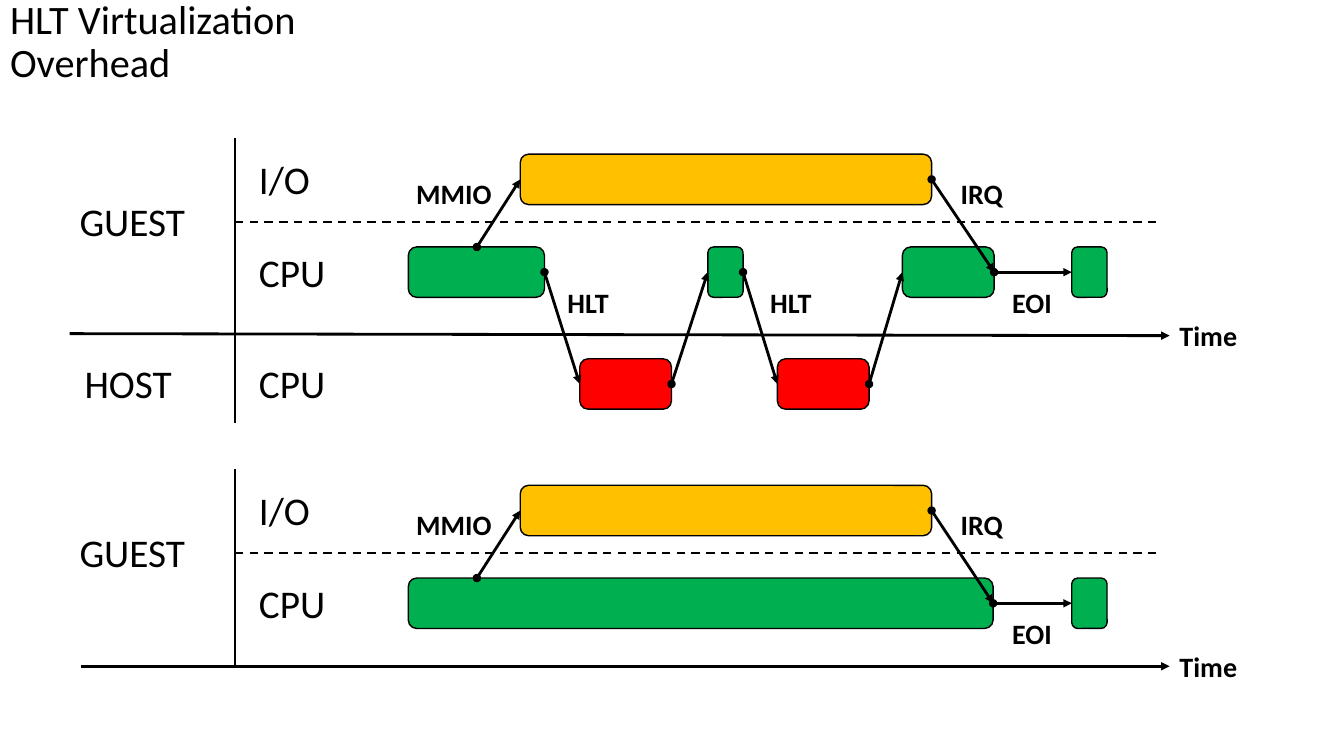
from lxml import etree
from pptx import Presentation
from pptx.dml.color import RGBColor
from pptx.enum.dml import MSO_LINE
from pptx.enum.shapes import MSO_CONNECTOR, MSO_SHAPE
from pptx.enum.text import MSO_ANCHOR, MSO_AUTO_SIZE, PP_ALIGN
from pptx.oxml.ns import qn
from pptx.util import Inches, Pt

BLACK = RGBColor(0x00, 0x00, 0x00)
GREEN = RGBColor(0x00, 0xB0, 0x50)
AMBER = RGBColor(0xFF, 0xC0, 0x00)
RED = RGBColor(0xFF, 0x00, 0x00)
STRAIGHT = MSO_CONNECTOR.STRAIGHT
ROUNDED = MSO_SHAPE.ROUNDED_RECTANGLE
DASH = MSO_LINE.DASH
MIDDLE = MSO_ANCHOR.MIDDLE
NO_FIT, GROW = MSO_AUTO_SIZE.NONE, MSO_AUTO_SIZE.SHAPE_TO_FIT_TEXT
LEFT = PP_ALIGN.LEFT
LEFT_SIDE, RIGHT_SIDE = 1, 3
COLUMN = ROW = Inches(0.1)
TITLE_ONLY = 5

LANE_FONT = {"size": Pt(28), "bold": False}
EVENT_FONT = {"size": Pt(20), "bold": True}
TITLE_FONT = {"size": Pt(28.8), "bold": False}

BAR_HEIGHT = 5
IO_ROW, CPU_ROW, HOST_ROW = 1.6, 10.8, 21.9
SEPARATOR_ROW = 8.3
DIVIDER_COLUMN = 23.3
AXIS_END = 116


def apply(target, values):
    for attribute, value in values.items():
        setattr(target, attribute, value)


class Timeline:
    def __init__(self, slide, font_name="Calibri"):
        self.slide = slide
        self.font_name = font_name
        self.top = 0

    def place(self, column, row):
        return round(column * COLUMN), round((self.top + row) * ROW)

    def fill_text(self, frame, text, font, **frame_format):
        apply(frame, {"word_wrap": True, **frame_format})
        paragraph = frame.paragraphs[0]
        paragraph.alignment = LEFT
        run = paragraph.add_run()
        run.text = text
        apply(run.font, {"name": self.font_name, **font})
        run.font.color.rgb = BLACK
        return paragraph

    def title(self, text, width, height):
        heading = self.slide.shapes.title
        apply(heading, {"left": 0, "top": 0, "width": round(width * COLUMN), "height": round(height * ROW)})
        paragraph = self.fill_text(heading.text_frame, text, TITLE_FONT, vertical_anchor=MIDDLE, auto_size=NO_FIT)
        paragraph.line_spacing = 0.9

    def label(self, text, column, row, width, font):
        height = 5.7 if font is LANE_FONT else 4.4
        box = self.slide.shapes.add_textbox(
            *self.place(column, row), round(width * COLUMN), round(height * ROW))
        self.fill_text(box.text_frame, text, font, auto_size=GROW)

    def bar(self, column, row, width, color):
        block = self.slide.shapes.add_shape(
            ROUNDED, *self.place(column, row), round(width * COLUMN), BAR_HEIGHT * ROW)
        block.shadow.inherit = False
        block.fill.solid()
        block.fill.fore_color.rgb = color
        block.line.color.rgb = BLACK
        block.line.width = Pt(1)
        return block

    def line(self, start, end, weight=1.5, dash=None, **ends):
        stroke = self.slide.shapes.add_connector(STRAIGHT, *self.place(*start), *self.place(*end))
        apply(stroke.line, {"width": Pt(weight), "dash_style": dash})
        stroke.line.color.rgb = BLACK
        properties = stroke._element.spPr
        outline = properties.find(qn("a:ln"))
        for tag, kind in ends.items():
            etree.SubElement(outline, qn("a:" + tag), type=kind)
        etree.SubElement(properties, qn("a:effectLst"))
        return stroke

    def arrow(self, start, end):
        return self.line(start, end, 2, headEnd="oval", tailEnd="triangle")

    def switch(self, source, target, target_side=LEFT_SIDE):
        transition = self.arrow((0, 0), (0, 0))
        transition.begin_connect(source, RIGHT_SIDE)
        transition.end_connect(target, target_side)

    def axis(self, start, start_row, end_row):
        self.line((start, start_row), (AXIS_END, end_row), 2, tailEnd="triangle")
        self.label("Time", AXIS_END, end_row - 2.2, 9.3, EVENT_FONT)

    def guest(self, top, divider_length, bursts):
        self.top = top
        self.line((DIVIDER_COLUMN, 0), (DIVIDER_COLUMN, divider_length))
        self.line((DIVIDER_COLUMN, SEPARATOR_ROW), (115.1, SEPARATOR_ROW), dash=DASH)
        self.label("GUEST", 6.9, 5.4, 16.1, LANE_FONT)
        for lane, row in (("I/O", IO_ROW), ("CPU", CPU_ROW)):
            self.label(lane, 24.7, row - 0.4, 10.9, LANE_FONT)

        io_work = self.bar(51.6, IO_ROW, 40.8, AMBER)
        cpu_work = [self.bar(column, CPU_ROW, width, GREEN) for column, width in bursts]
        completion = self.bar(106.3, CPU_ROW, 3.5, GREEN)

        request = self.arrow((47.3, CPU_ROW), (51.6, IO_ROW))
        request.end_connect(io_work, LEFT_SIDE)
        self.switch(io_work, cpu_work[-1], RIGHT_SIDE)
        self.switch(cpu_work[-1], completion)
        for event, column, row, width in (
                ("MMIO", 40.3, 3.3, 10.3), ("IRQ", 94.3, 3.3, 7.1), ("EOI", 99.4, 14.1, 7.1)):
            self.label(event, column, row, width, EVENT_FONT)
        return cpu_work

    def host(self, cpu_work, halts):
        self.label("HOST", 7.4, HOST_ROW - 0.4, 14.9, LANE_FONT)
        self.label("CPU", 24.7, HOST_ROW - 0.4, 10.9, LANE_FONT)
        for before, after, (column, label_column) in zip(cpu_work, cpu_work[1:], halts):
            halt = self.bar(column, HOST_ROW, 9.1, RED)
            self.switch(before, halt)
            self.switch(halt, after)
            self.label("HLT", label_column, 14.1, 7.7, EVENT_FONT)


deck = Presentation()
deck.slide_width, deck.slide_height = Inches(13.33), Inches(7.5)
timeline = Timeline(deck.slides.add_slide(deck.slide_layouts[TITLE_ONLY]))
timeline.title("HLT Virtualization Overhead", 44.4, 8.5)

halting_work = timeline.guest(13.7, 28.3, [(40.5, 13.5), (70.2, 3.5), (89.5, 9.1)])
timeline.host(halting_work, [(57.5, 55.3), (77.1, 75.4)])
timeline.axis(6.9, 19.4, 19.6)

timeline.guest(46.55, 19.4, [(40.5, 58)])
timeline.axis(8, 19.55, 19.55)

deck.save("out.pptx")
